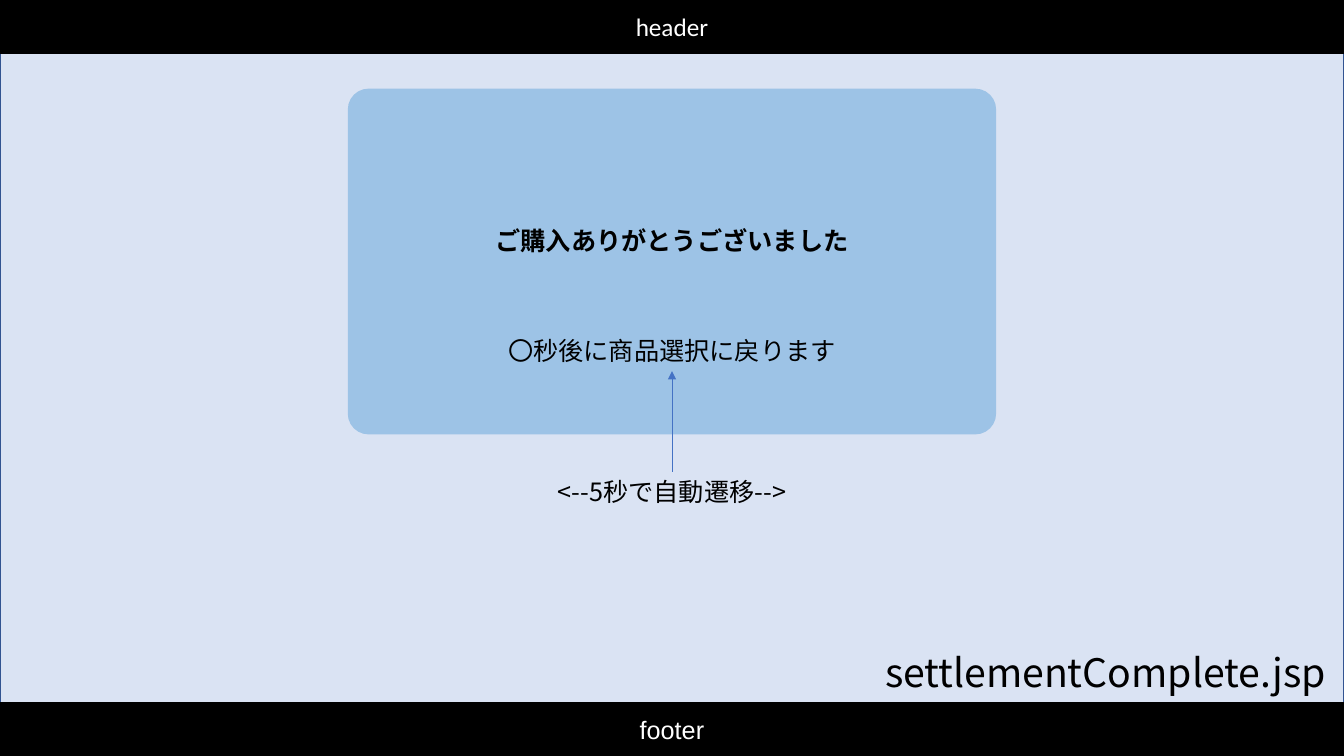
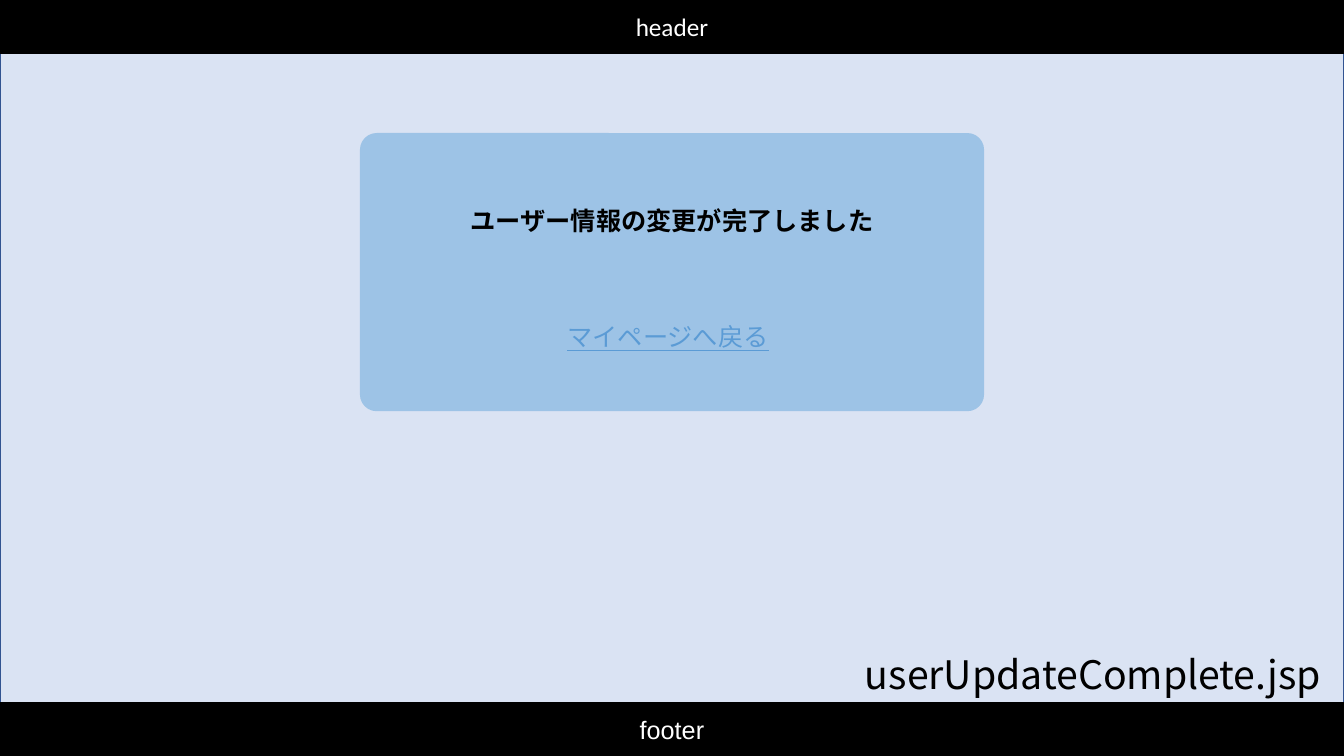
from dataclasses import dataclass

from lxml.etree import SubElement
from pptx import Presentation
from pptx.dml.color import RGBColor
from pptx.enum.shapes import MSO_CONNECTOR, MSO_SHAPE
from pptx.enum.text import MSO_ANCHOR, MSO_AUTO_SIZE, PP_ALIGN
from pptx.oxml.ns import qn
from pptx.util import Inches, Pt

BLACK = RGBColor(0x00, 0x00, 0x00)
WHITE = RGBColor(0xFF, 0xFF, 0xFF)
PALE_BLUE = RGBColor(0xDA, 0xE3, 0xF3)
CARD_BLUE = RGBColor(0x9D, 0xC3, 0xE6)
EDGE_BLUE = RGBColor(0x32, 0x54, 0x91)
ARROW_BLUE = RGBColor(0x44, 0x72, 0xC4)
LINK_BLUE = RGBColor(0x5B, 0x9B, 0xD5)
JAPANESE = "Noto Sans CJK JP"
TITLE_ONLY = 5
LINE_HEIGHT = 0.4
NAME_HEIGHT = 0.57


@dataclass
class Box:
    left: float
    top: float
    width: float
    height: float

    @property
    def center(self):
        return self.left + self.width / 2

    @property
    def bottom(self):
        return self.top + self.height

    def place(self):
        return [Inches(n) for n in (self.left, self.top, self.width, self.height)]

    def line_at(self, share, width):
        return Box(self.center - width / 2, self.top + share * self.height,
                   width, LINE_HEIGHT)


PAGE = Box(0, 0, 13.33, 7.5)
BAND = 0.07 * PAGE.height
HEADER = Box(0, 0, PAGE.width, BAND)
MAIN = Box(0, BAND, PAGE.width, PAGE.height - 2 * BAND)
FOOTER = Box(0, MAIN.bottom, PAGE.width, BAND)


def write(frame, text, *, size=18, font=JAPANESE, color=BLACK, bold=False,
          underline=False, align=PP_ALIGN.CENTER, anchor=MSO_ANCHOR.TOP):
    frame.word_wrap = True
    frame.auto_size = MSO_AUTO_SIZE.NONE
    frame.vertical_anchor = anchor
    para = frame.paragraphs[0]
    para.alignment = align
    span = para.add_run()
    span.text = text
    span.font.size = Pt(size)
    span.font.bold = bold
    span.font.underline = underline
    span.font.color.rgb = color
    span.font.name = font
    SubElement(span.font._element, qn("a:ea"), typeface=font)


def add_text(slide, box, text, **style):
    write(slide.shapes.add_textbox(*box.place()).text_frame, text, **style)


def add_panel(slide, box, fill, line=None, kind=MSO_SHAPE.RECTANGLE):
    panel = slide.shapes.add_shape(kind, *box.place())
    panel.shadow.inherit = False
    panel.fill.solid()
    panel.fill.fore_color.rgb = fill
    if line is None:
        panel.line.fill.background()
    else:
        panel.line.color.rgb = line
        panel.line.width = Pt(1)
    return panel


def add_band(slide, box, text, font):
    band = add_panel(slide, box, BLACK, BLACK)
    write(band.text_frame, text, font=font, color=WHITE, anchor=MSO_ANCHOR.MIDDLE)


def add_card(slide, box):
    card = add_panel(slide, box, CARD_BLUE, kind=MSO_SHAPE.ROUNDED_RECTANGLE)
    card.adjustments[0] = 0.06


def add_title(slide, box, text):
    title = slide.shapes.title
    title.left, title.top, title.width, title.height = box.place()
    title.element.getparent().append(title.element)
    write(title.text_frame, text, bold=True)


def add_up_arrow(slide, x, start, end):
    arrow = slide.shapes.add_connector(
        MSO_CONNECTOR.STRAIGHT, Inches(x), Inches(start), Inches(x), Inches(end))
    arrow.line.color.rgb = ARROW_BLUE
    arrow.line.width = Pt(0.5)
    SubElement(arrow.line._get_or_add_ln(), qn("a:tailEnd"), type="triangle")
    SubElement(arrow.element.spPr, qn("a:effectLst"))


def add_page(deck, card, title, title_box, file_name, name_width, name_top):
    slide = deck.slides.add_slide(deck.slide_layouts[TITLE_ONLY])
    add_panel(slide, MAIN, PALE_BLUE, EDGE_BLUE)
    add_card(slide, card)
    add_band(slide, HEADER, "header", "Calibri")
    add_band(slide, FOOTER, "footer", "Arial")
    name_box = Box(PAGE.width - name_width, name_top, name_width, NAME_HEIGHT)
    add_text(slide, name_box, file_name, size=28, align=PP_ALIGN.LEFT)
    add_title(slide, title_box, title)
    return slide


def add_settlement_page(deck):
    card = Box(3.45, 0.88, 6.43, 3.43)
    slide = add_page(deck, card, "ご購入ありがとうございました",
                     card.line_at(0.38, 6.73), "settlementComplete.jsp", 4.65, 6.38)
    notice = card.line_at(0.7, 5.06)
    remark = Box(notice.left, notice.top + 1.4, notice.width, LINE_HEIGHT)
    add_text(slide, notice, "〇秒後に商品選択に戻ります")
    add_up_arrow(slide, card.center, remark.top, notice.bottom)
    add_text(slide, remark, "<--5秒で自動遷移-->")


def add_user_update_page(deck):
    card = Box(3.57, 1.32, 6.19, 2.76)
    slide = add_page(deck, card, "ユーザー情報の変更が完了しました",
                     card.line_at(0.24, 4.44), "userUpdateComplete.jsp", 4.85, 6.4)
    add_text(slide, card.line_at(0.66, 2.27), "マイページへ戻る",
             color=LINK_BLUE, underline=True, align=PP_ALIGN.LEFT)


def main():
    deck = Presentation()
    deck.slide_width = Inches(PAGE.width)
    deck.slide_height = Inches(PAGE.height)
    add_settlement_page(deck)
    add_user_update_page(deck)
    deck.save("out.pptx")


if __name__ == "__main__":
    main()
